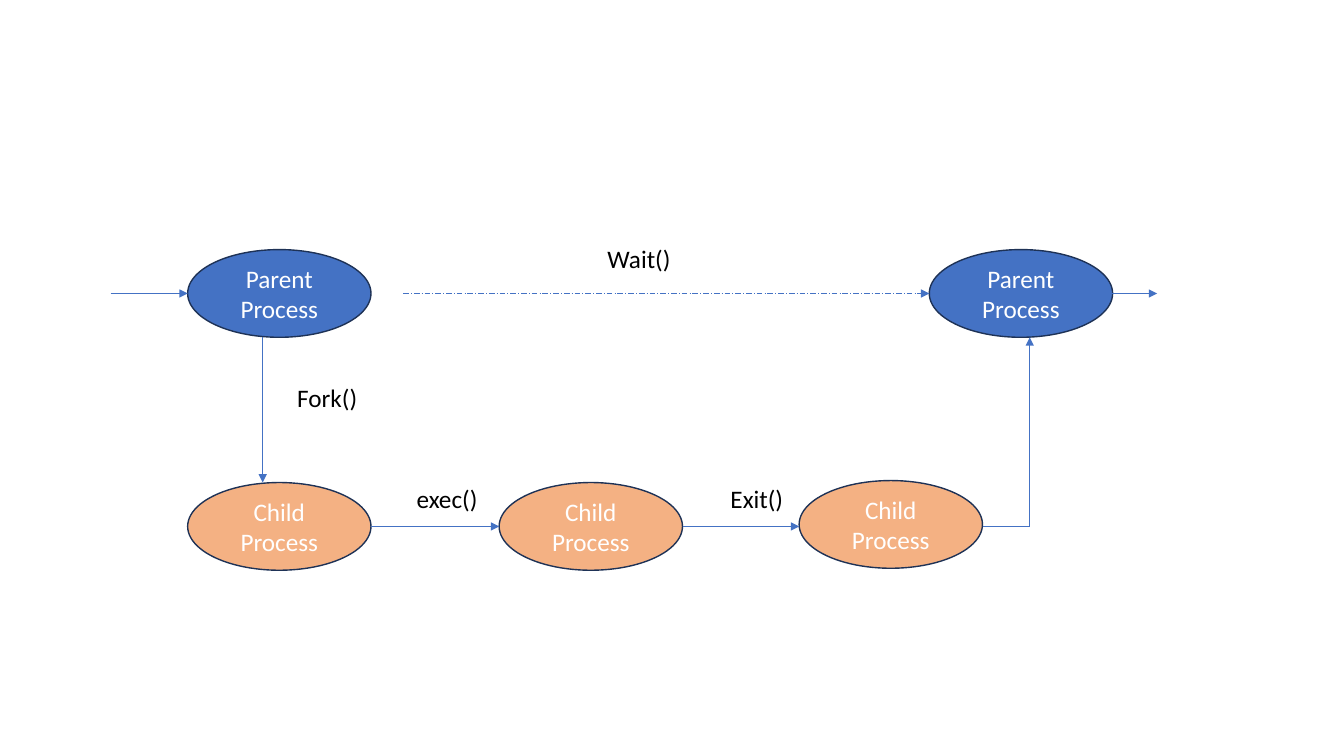
from dataclasses import dataclass

from lxml.etree import SubElement
from pptx import Presentation
from pptx.dml.color import RGBColor
from pptx.enum.dml import MSO_LINE
from pptx.enum.shapes import MSO_CONNECTOR, MSO_SHAPE
from pptx.enum.text import MSO_ANCHOR, MSO_AUTO_SIZE, PP_ALIGN
from pptx.oxml.ns import qn
from pptx.util import Cm, Pt


@dataclass(frozen=True)
class Theme:
    font: str = "Calibri"
    size: int = 18
    blue: str = "4472C4"
    orange: str = "F4B183"
    edge: str = "1E3256"
    white: str = "FFFFFF"
    black: str = "000000"
    border: float = 1
    stroke: float = 0.5


THEME = Theme()

# All places and sizes are in centimetres.
WIDE, HIGH = 4.62, 2.21
TOP, LOW = 6.29, 12.16
FIRST, SECOND, THIRD, LAST = 4.73, 12.58, 20.14, 23.42
FORK, JOIN = 6.62, 25.95

# text, left, top, fill
NODES = [
    ("Parent Process", FIRST, TOP, THEME.blue),
    ("Parent Process", LAST, TOP, THEME.blue),
    ("Child Process", FIRST, LOW, THEME.orange),
    ("Child Process", SECOND, LOW, THEME.orange),
    ("Child Process", THIRD, LOW - 0.05, THEME.orange),
]

# text, left, top
CALLS = [
    ("Wait()", 15.06, 6),
    ("Fork()", 7.24, 9.52),
    ("exec()", 10.25, 12.05),
    ("Exit()", 18.16, 12.05),
]

ROW, BASE = TOP + HIGH / 2, LOW + HIGH / 2

# start, end, dashed, arrowhead
LINKS = [
    ((2.79, ROW), (FIRST, ROW), False, True),
    ((10.16, ROW), (LAST, ROW), True, True),
    ((27.23, ROW), (29.16, ROW), False, True),
    ((FORK, TOP + HIGH), (FORK, LOW), False, True),
    ((FIRST + WIDE, BASE), (SECOND, BASE), False, True),
    ((SECOND + WIDE, BASE), (THIRD, BASE), False, True),
    ((THIRD + WIDE, BASE), (JOIN, BASE), False, False),
    ((JOIN, BASE), (JOIN, TOP + HIGH), False, True),
]


def color(code):
    return RGBColor.from_string(code)


def write(frame, text, ink, align):
    para = frame.paragraphs[0]
    para.text = text
    para.alignment = align
    para.font.name = THEME.font
    para.font.size = Pt(THEME.size)
    para.font.color.rgb = color(ink)


def add_node(slide, text, left, top, fill):
    node = slide.shapes.add_shape(
        MSO_SHAPE.OVAL, Cm(left), Cm(top), Cm(WIDE), Cm(HIGH))
    node.shadow.inherit = False
    node.fill.solid()
    node.fill.fore_color.rgb = color(fill)
    node.line.color.rgb = color(THEME.edge)
    node.line.width = Pt(THEME.border)
    frame = node.text_frame
    frame.word_wrap = True
    frame.vertical_anchor = MSO_ANCHOR.MIDDLE
    write(frame, text, THEME.white, PP_ALIGN.CENTER)


def add_call(slide, text, left, top):
    box = slide.shapes.add_textbox(Cm(left), Cm(top), Cm(2.54), Cm(1.03))
    frame = box.text_frame
    frame.word_wrap = True
    frame.auto_size = MSO_AUTO_SIZE.SHAPE_TO_FIT_TEXT
    write(frame, text, THEME.black, PP_ALIGN.LEFT)


def add_link(slide, start, end, dashed, arrow):
    ends = [Cm(value) for value in (*start, *end)]
    link = slide.shapes.add_connector(MSO_CONNECTOR.STRAIGHT, *ends)
    link.line.color.rgb = color(THEME.blue)
    link.line.width = Pt(THEME.stroke)
    if dashed:
        link.line.dash_style = MSO_LINE.LONG_DASH_DOT
    props = link._element.spPr
    if arrow:
        SubElement(props.find(qn("a:ln")), qn("a:tailEnd"), type="triangle")
    SubElement(props, qn("a:effectLst"))


def main():
    deck = Presentation()
    deck.slide_width, deck.slide_height = Cm(33.87), Cm(19.05)
    slide = deck.slides.add_slide(deck.slide_layouts[6])
    for add, items in ((add_node, NODES), (add_link, LINKS), (add_call, CALLS)):
        for item in items:
            add(slide, *item)
    deck.save("out.pptx")


if __name__ == "__main__":
    main()
